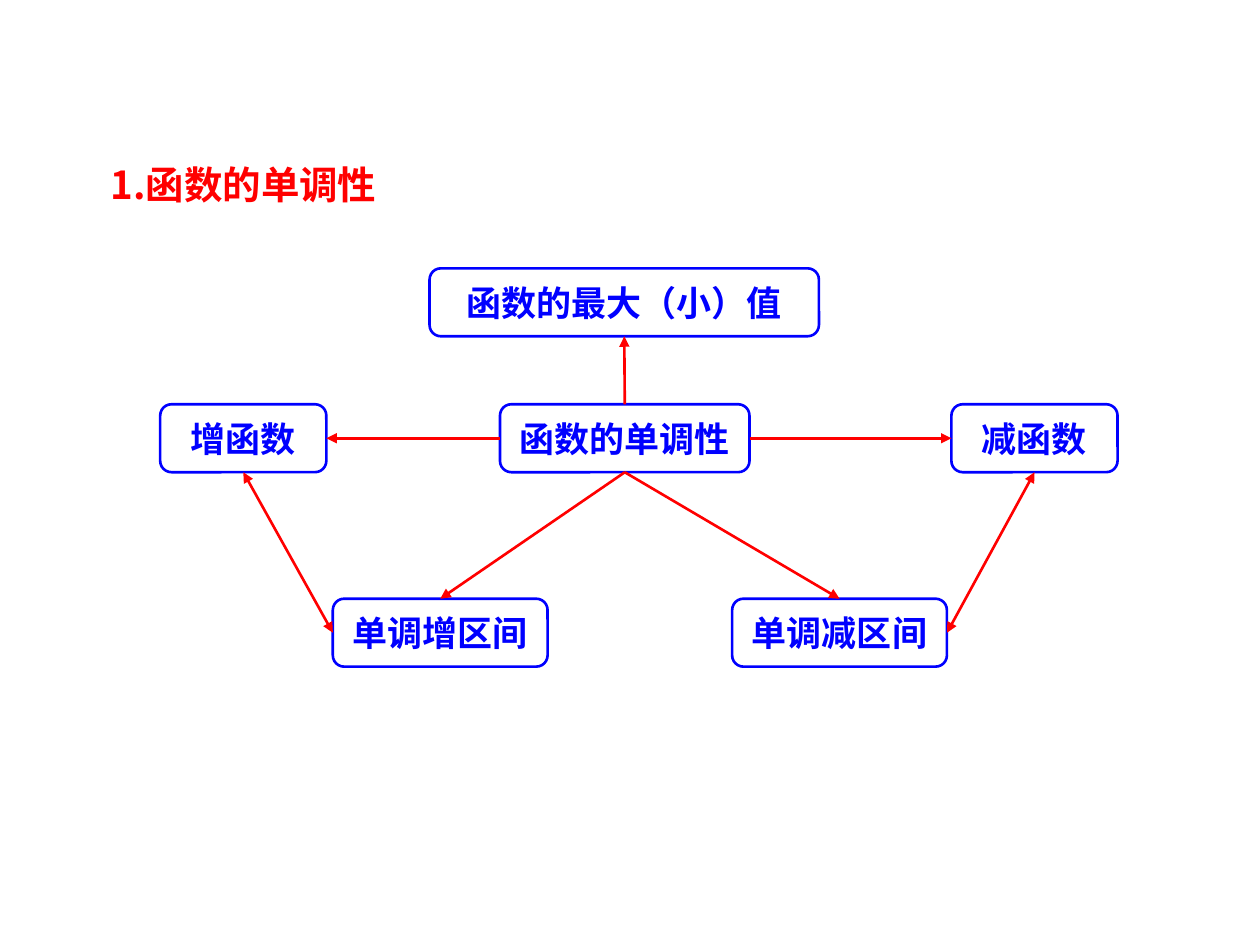
from typing import NamedTuple

from lxml import etree
from pptx import Presentation
from pptx import util as u
from pptx.dml.color import RGBColor
from pptx.enum import shapes, text
from pptx.oxml.ns import qn

HUES = {"red": "FF0000", "blue": "0000FF"}
CJK = "Noto Sans CJK SC"
HIGH = 1.37
ROWS = {"top": 5.41, "mid": 8.15, "low": 12.07}
TOP, LEFT, FOOT, RIGHT = range(4)  # connection sites of a rounded box


class Node(NamedTuple):
    label: str
    left: float
    row: str
    wide: float


class Link(NamedTuple):
    start: str
    out: int
    end: str
    into: int
    both: bool = False


NODES = {
    "peak": Node("函数的最大（小）值", 8.66, "top", 7.85),
    "rise": Node("增函数", 3.23, "mid", 3.35),
    "fall": Node("减函数", 19.18, "mid", 3.35),
    "core": Node("函数的单调性", 10.08, "mid", 5.03),
    "up": Node("单调增区间", 6.71, "low", 4.33),
    "down": Node("单调减区间", 14.76, "low", 4.33),
}
LINKS = [
    Link("core", TOP, "peak", FOOT),
    Link("core", RIGHT, "fall", LEFT),
    Link("core", LEFT, "rise", RIGHT),
    Link("core", FOOT, "up", TOP),
    Link("core", FOOT, "down", TOP),
    Link("rise", FOOT, "up", LEFT, True),
    Link("fall", FOOT, "down", RIGHT, True),
]


def tint(hue: str) -> RGBColor:
    return RGBColor.from_string(HUES[hue])


def write(frame, words: str, size: int, face: str, hue: str):
    para = frame.paragraphs[0]
    run = para.add_run()
    run.text = words
    look = {"size": u.Pt(size), "name": face, "bold": True}
    for key, value in look.items():
        setattr(run.font, key, value)
    run.font.color.rgb = tint(hue)
    # East Asian glyphs take their own typeface
    etree.SubElement(run.font._element, qn("a:ea"), typeface=CJK)
    return para


def stroke(line, hue: str) -> None:
    line.color.rgb = tint(hue)
    line.width = u.Pt(1.5)


def add_title(slide) -> None:
    box = slide.shapes.add_textbox(u.Cm(1.98), u.Cm(2.74), u.Cm(18.26), u.Cm(1.57))
    box.text_frame.word_wrap = True
    para = write(box.text_frame, "1.函数的单调性", 22, CJK, "red")
    para.line_spacing = 1.4


def add_node(slide, node: Node):
    box = slide.shapes.add_shape(
        shapes.MSO_SHAPE.ROUNDED_RECTANGLE,
        u.Cm(node.left), u.Cm(ROWS[node.row]), u.Cm(node.wide), u.Cm(HIGH))
    box.shadow.inherit = False
    box.fill.background()
    stroke(box.line, "blue")
    frame = box.text_frame
    look = {"word_wrap": False, "vertical_anchor": text.MSO_ANCHOR.MIDDLE}
    for key, value in look.items():
        setattr(frame, key, value)
    para = write(frame, node.label, 20, "Arial", "blue")
    para.alignment = text.PP_ALIGN.CENTER
    return box


def add_link(slide, link: Link, boxes: dict) -> None:
    wire = slide.shapes.add_connector(shapes.MSO_CONNECTOR.STRAIGHT, 0, 0, 0, 0)
    wire.begin_connect(boxes[link.start], link.out)
    wire.end_connect(boxes[link.end], link.into)
    stroke(wire.line, "red")
    props = wire._element.spPr
    for tip in ("a:headEnd", "a:tailEnd") if link.both else ("a:tailEnd",):
        etree.SubElement(props.find(qn("a:ln")), qn(tip), type="triangle")
    etree.SubElement(props, qn("a:effectLst"))


def main() -> None:
    deck = Presentation()
    deck.slide_width, deck.slide_height = u.Cm(25.4), u.Cm(19.05)
    slide = deck.slides.add_slide(deck.slide_layouts[6])
    add_title(slide)
    boxes = {key: add_node(slide, node) for key, node in NODES.items()}
    for link in LINKS:
        add_link(slide, link, boxes)
    deck.save("out.pptx")


if __name__ == "__main__":
    main()
